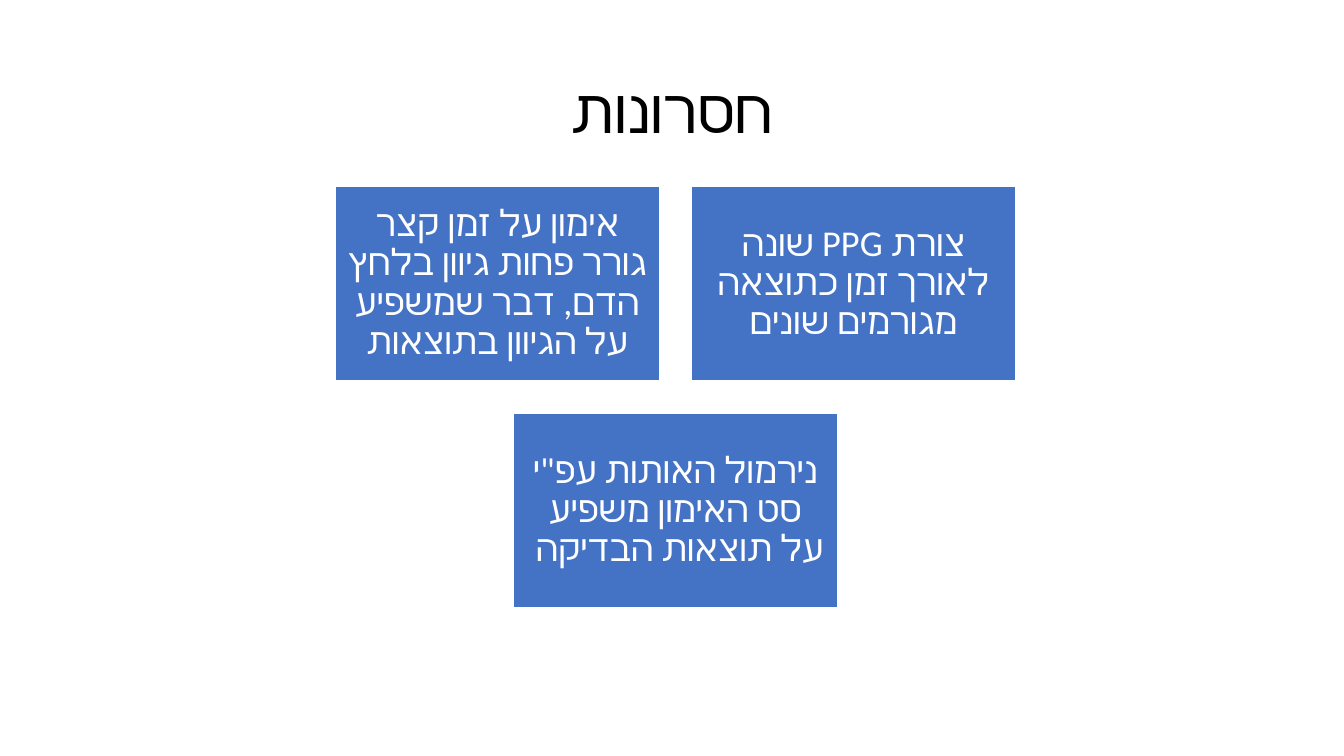
"""Build a slide of three drawbacks in Hebrew, set right to left."""
from pptx import Presentation
from pptx.dml.color import RGBColor as RGB
from pptx.enum.shapes import MSO_SHAPE as Shape
from pptx.enum.text import MSO_ANCHOR as Anchor, PP_ALIGN as Align
from pptx.oxml.ns import qn
from pptx.util import Inches, Pt
from lxml.etree import SubElement

COLORS = {"title": "000000", "box": "4472C4", "text": "FFFFFF", "line": "FFFFFF"}
FONT = "Calibri"
WIDTH, HEIGHT, GAP = 3.21, 1.93, 0.32
MID, TOP = 6.7, 1.85
ROWS = [
    ["אימון על זמן קצר גורר פחות גיוון בלחץ הדם, דבר שמשפיע על הגיוון בתוצאות",
     "צורת PPG שונה לאורך זמן כתוצאה מגורמים שונים"],
    ["נירמול האותות עפ\"י סט האימון משפיע על תוצאות הבדיקה "],
]


def apply(item, values):
    for name, value in values.items():
        setattr(item, name, value)


def write(frame, text, size, color, after=0):
    apply(frame, {"text": text, "word_wrap": True, "vertical_anchor": Anchor.MIDDLE})
    para = frame.paragraphs[0]
    apply(para, {"alignment": Align.CENTER, "line_spacing": 0.9,
                 "space_before": Pt(0), "space_after": Pt(after)})
    para._p.get_or_add_pPr().set("rtl", "1")
    run = para.runs[0]
    apply(run.font, {"size": Pt(size), "name": FONT})
    run.font.color.rgb = RGB.from_string(COLORS[color])
    SubElement(run._r.get_or_add_rPr(), qn("a:cs")).set("typeface", FONT)


def add_title(slide, text):
    title = slide.shapes.title
    apply(title, {"left": Inches(0.92), "top": Inches(0.4),
                  "width": Inches(11.5), "height": Inches(1.45)})
    write(title.text_frame, text, 44, "title")


def add_box(slide, text, left, top):
    box = slide.shapes.add_shape(Shape.RECTANGLE, Inches(left), Inches(top),
                                 Inches(WIDTH), Inches(HEIGHT))
    box.shadow.inherit = False
    box.fill.solid()
    box.fill.fore_color.rgb = RGB.from_string(COLORS["box"])
    box.line.color.rgb = RGB.from_string(COLORS["line"])
    box.line.width = Pt(1)
    sides = ("left", "top", "right", "bottom")
    apply(box.text_frame, {f"margin_{side}": Inches(0.11) for side in sides})
    write(box.text_frame, text, 26, "text", after=9)


def add_grid(slide, rows):
    for row, texts in enumerate(rows):
        span = len(texts) * (WIDTH + GAP) - GAP
        for col, text in enumerate(texts):
            add_box(slide, text, MID - span / 2 + col * (WIDTH + GAP),
                    TOP + row * (HEIGHT + GAP))


def main():
    deck = Presentation()
    apply(deck, {"slide_width": Inches(13.33), "slide_height": Inches(7.5)})
    slide = deck.slides.add_slide(deck.slide_layouts[5])
    add_title(slide, "חסרונות")
    add_grid(slide, ROWS)
    deck.save("out.pptx")


if __name__ == "__main__":
    main()
